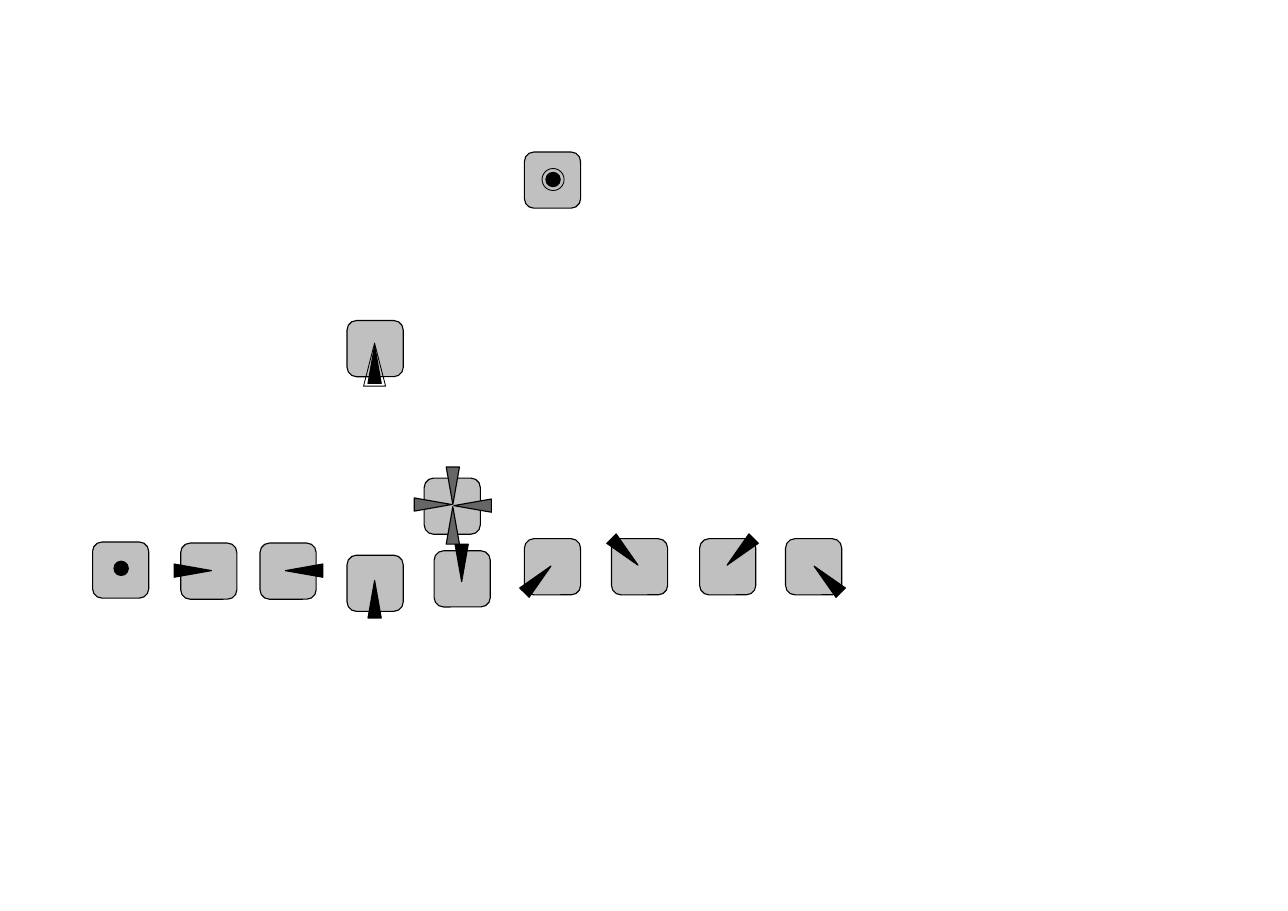
from dataclasses import dataclass

from pptx import Presentation
from pptx.dml.color import RGBColor
from pptx.enum.shapes import MSO_SHAPE as SHAPE
from pptx.shapes.autoshape import Shape
from pptx.shapes.group import GroupShape
from pptx.util import Inches, Pt

BLACK = RGBColor(0x00, 0x00, 0x00)
DARK_GREY = RGBColor(0x66, 0x66, 0x66)
LIGHT_GREY = RGBColor(0xC0, 0xC0, 0xC0)

KEY_SIZE = 0.51
KEY_ROUNDING = 0.167


@dataclass(frozen=True)
class Mark:
    """A sign on a key, placed by its centre; angle 0 points up."""
    x: float
    y: float
    angle: float = 0
    kind: SHAPE = SHAPE.ISOSCELES_TRIANGLE
    width: float = 0.12
    height: float = 0.34
    fill: RGBColor | None = BLACK
    line: float = 0


@dataclass(frozen=True)
class Key:
    left: float
    top: float
    marks: tuple[Mark, ...]


def dot(x: float, y: float) -> Mark:
    return Mark(x, y, kind=SHAPE.OVAL, width=0.13, height=0.13)


def grey_pointer(x: float, y: float, angle: float) -> Mark:
    return Mark(x, y, angle, fill=DARK_GREY)


KEYS = (
    # Bottom row
    Key(3.15, 5.04, (Mark(3.40, 5.44, 0),)),
    Key(3.94, 5.00, (Mark(4.19, 5.11, 180),)),
    Key(2.36, 4.93, (Mark(2.76, 5.18, 270),)),
    Key(1.64, 4.93, (Mark(1.75, 5.18, 90),)),
    Key(6.35, 4.89, (Mark(6.72, 5.01, 225),)),
    Key(7.13, 4.89, (Mark(7.51, 5.26, 315),)),
    Key(5.55, 4.89, (Mark(5.67, 5.01, 135),)),
    Key(4.76, 4.89, (Mark(4.88, 5.26, 45),)),
    Key(0.84, 4.92, (dot(1.10, 5.16),)),
    # Four-way key
    Key(3.85, 4.34, (
        grey_pointer(4.11, 4.41, 180),
        grey_pointer(4.11, 4.77, 0),
        grey_pointer(3.93, 4.58, 90),
        grey_pointer(4.29, 4.59, 270),
    )),
    # Keys with an outlined sign
    Key(4.76, 1.38, (
        dot(5.02, 1.63),
        Mark(5.02, 1.63, kind=SHAPE.OVAL, width=0.2, height=0.2, fill=None, line=0.57),
    )),
    Key(3.15, 2.91, (
        Mark(3.40, 3.31),
        Mark(3.40, 3.31, width=0.2, height=0.39, fill=None, line=0.57),
    )),
)


def add_shape(group: GroupShape, kind: SHAPE, left: float, top: float, width: float,
              height: float, fill: RGBColor | None, line: float = 0) -> Shape:
    sp = group.shapes.add_shape(kind, Inches(left), Inches(top), Inches(width), Inches(height))
    sp.shadow.inherit = False
    if fill is None:
        sp.fill.background()
    else:
        sp.fill.solid()
        sp.fill.fore_color.rgb = fill
    sp.line.color.rgb = BLACK
    sp.line.width = Pt(line)
    return sp


def draw_key(group: GroupShape, key: Key) -> None:
    sp = add_shape(group, SHAPE.ROUNDED_RECTANGLE, key.left, key.top,
                   KEY_SIZE, KEY_SIZE, LIGHT_GREY)
    sp.adjustments[0] = KEY_ROUNDING
    for mark in key.marks:
        sp = add_shape(group, mark.kind, mark.x - mark.width / 2, mark.y - mark.height / 2,
                       mark.width, mark.height, mark.fill, mark.line)
        sp.rotation = mark.angle


def main() -> None:
    prs = Presentation()
    prs.slide_width, prs.slide_height = Inches(11.69), Inches(8.27)
    slide = prs.slides.add_slide(prs.slide_layouts[6])
    for key in KEYS:
        draw_key(slide.shapes.add_group_shape(), key)
    prs.save("out.pptx")


if __name__ == "__main__":
    main()
